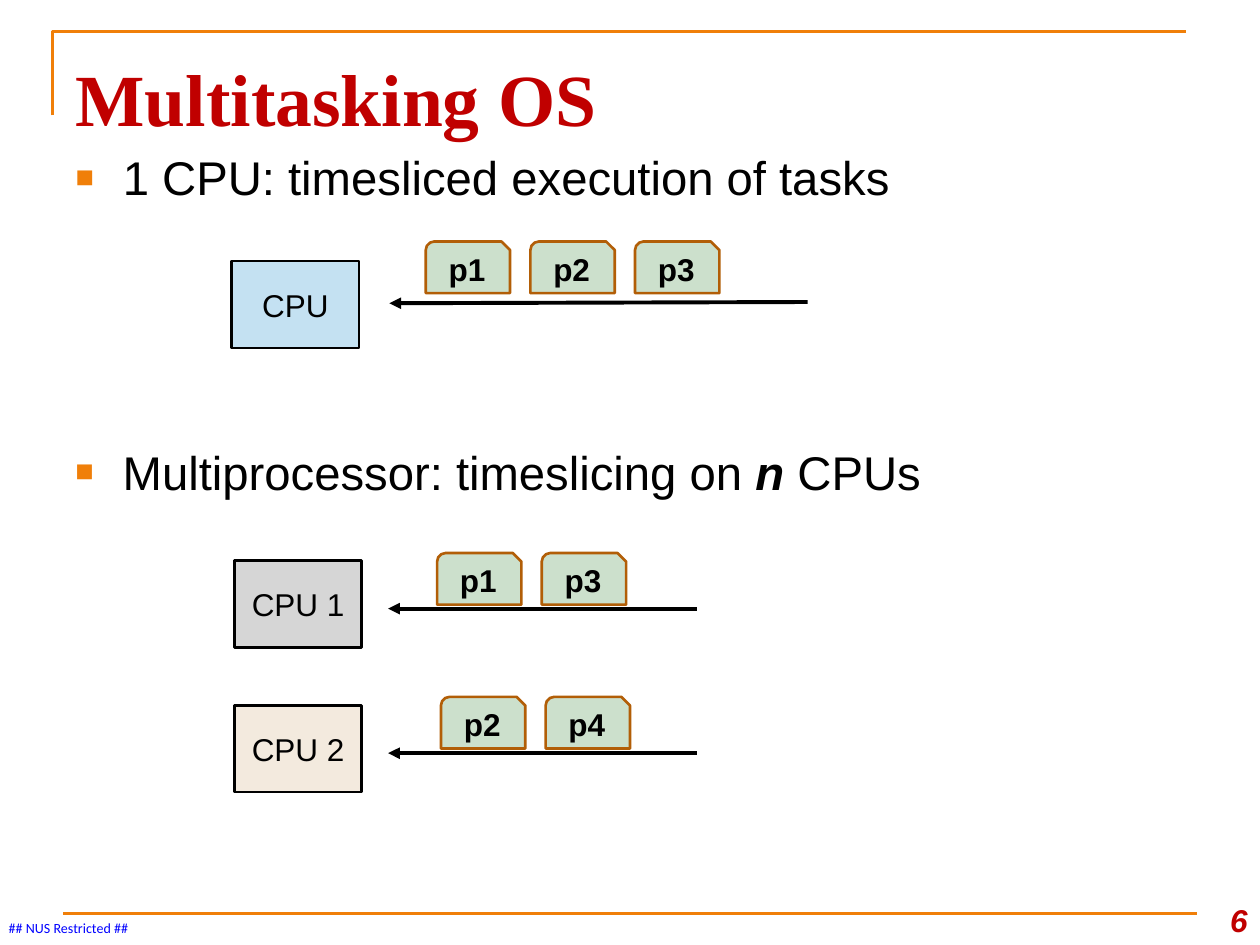
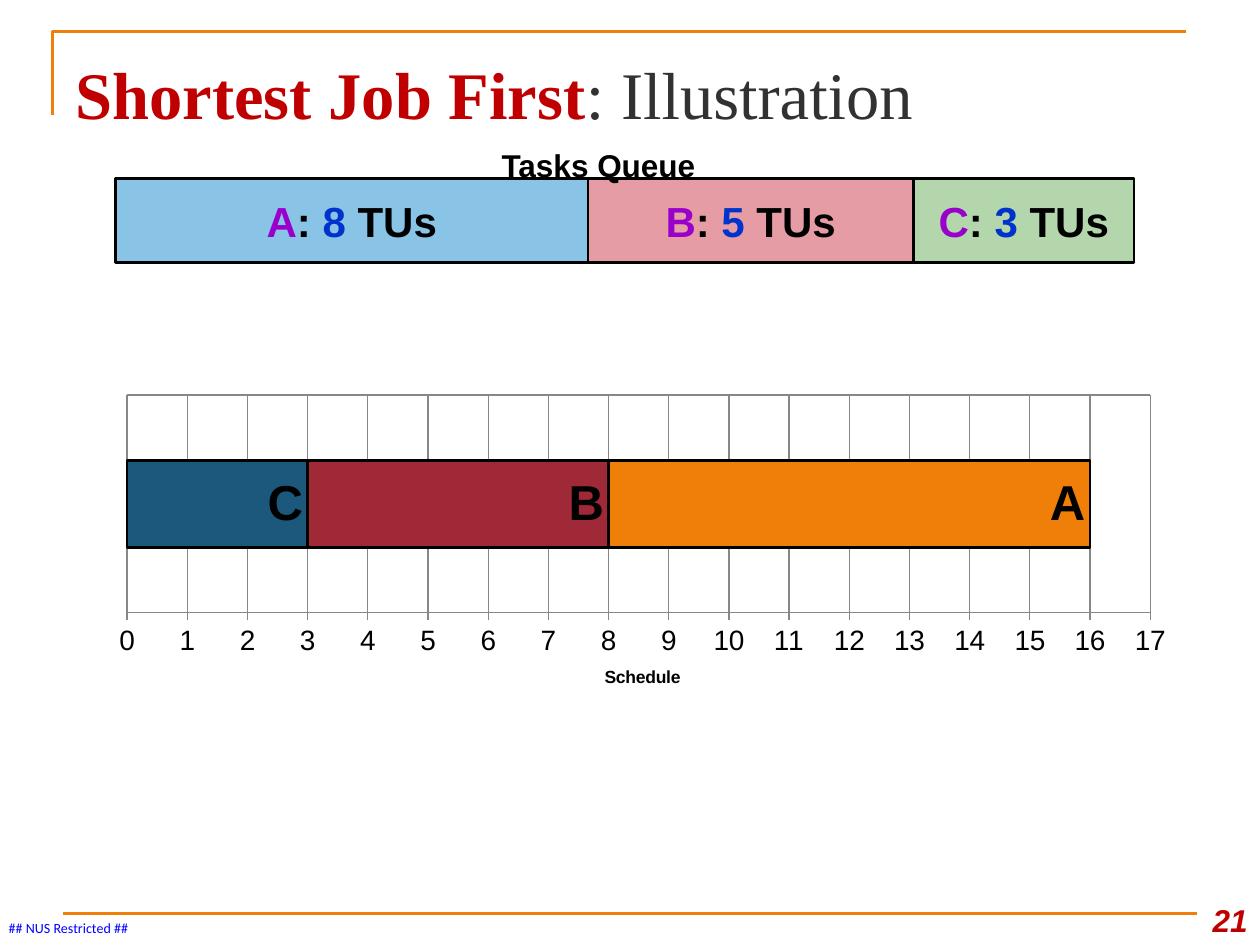
from lxml.etree import SubElement
from pptx import Presentation
from pptx.chart.data import CategoryChartData
from pptx.dml.color import RGBColor
from pptx.enum.chart import XL_CHART_TYPE, XL_LABEL_POSITION, XL_TICK_MARK
from pptx.enum.shapes import MSO_CONNECTOR, MSO_SHAPE
from pptx.enum.text import MSO_ANCHOR, MSO_AUTO_SIZE, PP_ALIGN
from pptx.oxml.ns import qn
from pptx.util import Pt

ORANGE, RED, BLACK = "F07F09", "C00000", "000000"
GRID, BROWN, GREEN = "878787", "B25E07", "006600"
SANS, SERIF = "Arial", "Times New Roman"
LEFT, WIDE = 36, 648
TASK_GAP = 59.8


def hue(code):
    return RGBColor.from_string(code)


def style(font, size=18, face=SANS, color=BLACK, bold=False, italic=False):
    font.size, font.name = Pt(size), face
    font.bold, font.italic = bold, italic
    font.color.rgb = hue(color)


def write(frame, *parts, align=PP_ALIGN.LEFT, anchor=MSO_ANCHOR.TOP,
          wrap=True, inset=(7.2, 3.6, 7.2, 3.6), bullet=False, **base):
    """Each part is a string, or a string with its own font settings."""
    frame.auto_size = MSO_AUTO_SIZE.NONE
    frame.word_wrap, frame.vertical_anchor = wrap, anchor
    (frame.margin_left, frame.margin_top,
     frame.margin_right, frame.margin_bottom) = map(Pt, inset)
    para = frame.paragraphs[0]
    para.alignment, para.space_before = align, Pt(0)
    if bullet:
        mark(para)
    for part in parts:
        words, extra = (part, {}) if isinstance(part, str) else part
        run = para.add_run()
        run.text = words
        style(run.font, **{**base, **extra})


def mark(para):
    """Give the paragraph a small square bullet and a hanging indent."""
    props = para._p.get_or_add_pPr()
    props.set("marL", str(Pt(27)))
    props.set("indent", str(Pt(-27)))
    tint = SubElement(props, qn("a:buClr"))
    SubElement(tint, qn("a:srgbClr"), val=ORANGE)
    SubElement(props, qn("a:buSzPct"), val="65000")
    SubElement(props, qn("a:buFont"), typeface=SANS)
    SubElement(props, qn("a:buChar"), char="■")


def place(shape, x, y, w, h):
    shape.left, shape.top, shape.width, shape.height = map(Pt, (x, y, w, h))


def label(slide, x, y, w, h, *parts, **form):
    box = slide.shapes.add_textbox(Pt(x), Pt(y), Pt(w), Pt(h))
    write(box.text_frame, *parts, **form)


def block(slide, x, y, w, h, fill, *parts, kind=MSO_SHAPE.RECTANGLE,
          edge=BLACK, alpha=None, **form):
    box = slide.shapes.add_shape(kind, Pt(x), Pt(y), Pt(w), Pt(h))
    box.shadow.inherit = False
    box.fill.solid()
    box.fill.fore_color.rgb = hue(fill)
    if alpha:
        tint = box._element.spPr.find(".//" + qn("a:srgbClr"))
        SubElement(tint, qn("a:alpha"), val=str(alpha * 1000))
    box.line.color.rgb, box.line.width = hue(edge), Pt(1.5)
    write(box.text_frame, *parts, align=PP_ALIGN.CENTER,
          anchor=MSO_ANCHOR.MIDDLE, **form)


def rule(slide, start, end, color, width, arrow=False):
    link = slide.shapes.add_connector(
        MSO_CONNECTOR.STRAIGHT, *map(Pt, (*start, *end)))
    link.line.color.rgb, link.line.width = hue(color), Pt(width)
    if arrow:
        SubElement(link.line._ln, qn("a:tailEnd"), type="triangle")
    SubElement(link._element.spPr, qn("a:effectLst"))


def corner(slide):
    pen = slide.shapes.build_freeform(Pt(30), Pt(66))
    pen.add_line_segments([(Pt(30), Pt(18)), (Pt(678), Pt(18))], close=False)
    edge = pen.convert_to_shape()
    edge.shadow.inherit = False
    edge.fill.background()
    edge.line.color.rgb, edge.line.width = hue(ORANGE), Pt(1.5)


def start(deck, layout, number, *title, size):
    """Add a slide with the shared frame, title, footer and number."""
    slide = deck.slides.add_slide(deck.slide_layouts[layout])
    corner(slide)
    rule(slide, (LEFT, 522), (LEFT + WIDE, 522), ORANGE, 1.5)
    label(slide, 5, 525.6, 70, 9.4, "## NUS Restricted ##", size=8,
          face="Calibri", color="0000FF", inset=(0, 0, 0, 0), wrap=False)
    label(slide, 678.2, 504, 41.8, 36, number, color=RED, bold=True,
          italic=True, align=PP_ALIGN.RIGHT, anchor=MSO_ANCHOR.BOTTOM)
    place(slide.shapes.title, LEFT, 21.6, WIDE, 56.2)
    write(slide.shapes.title.text_frame, *title, size=size, face=SERIF,
          color=RED, bold=True, inset=(7.2, 8.8, 7.2, 0))
    return slide


def queue(slide, name, fill, box, tasks, first, tail, head):
    """Draw a CPU, the arrow that feeds it and the tasks on the arrow."""
    block(slide, *box, 72.7, 49.7, fill, name, wrap=False,
          inset=(6.5, 2.9, 6.5, 2.9))
    rule(slide, tail, head, BLACK, 2.25, arrow=True)
    x, y = first
    for i, task in enumerate(tasks):
        block(slide, x + i * TASK_GAP, y, 48.2, 29.5, GREEN, task, alpha=20,
              kind=MSO_SHAPE.SNIP_ROUND_RECTANGLE, edge=BROWN, bold=True)


def multitask(deck):
    slide = start(deck, 1, "6", "Multitasking OS", size=42)
    body = slide.placeholders[1]
    place(body, LEFT, 77.8, WIDE, 46.8)
    write(body.text_frame, "1 CPU: timesliced execution of tasks", size=27,
          bullet=True, inset=(7.2, 7, 7.2, 3.6))
    queue(slide, "CPU", "C4E1F2", (132.4, 149.2), ("p1", "p2", "p3"),
          (243.3, 138), (461.5, 172.6), (222.5, 173.3))
    label(slide, LEFT, 234, 612, 49.7, "Multiprocessor: timeslicing on ",
          ("n", dict(bold=True, italic=True)), " CPUs", size=27,
          bullet=True, inset=(7.2, 19, 7.2, 3.6))
    queue(slide, "CPU 1", "D6D6D6", (134, 320.4), ("p1", "p3"),
          (249.8, 316), (398.2, 347.8), (221.8, 347.8))
    queue(slide, "CPU 2", "F3EADE", (134, 403), ("p2", "p4"),
          (252, 398.2), (398.2, 430.4), (221.8, 430.4))


def gantt(slide, jobs):
    data = CategoryChartData()
    data.categories = ["1"]
    for name, units, _ in jobs:
        data.add_series(name, [units])
    chart = slide.shapes.add_chart(
        XL_CHART_TYPE.BAR_STACKED, Pt(54), Pt(222), Pt(622), Pt(185.8),
        data).chart
    chart.has_legend = chart.has_title = False
    style(chart.font, size=10)
    plot = chart.plots[0]
    plot.gap_width, plot.overlap = 150, 100
    plot.vary_by_categories = False
    for bar, (_, _, color) in zip(plot.series, jobs):
        bar.format.fill.solid()
        bar.format.fill.fore_color.rgb = hue(color)
        bar.format.line.color.rgb = hue(BLACK)
        bar.format.line.width = Pt(1.5)
        tags = bar.data_labels
        tags.show_series_name, tags.show_value = True, False
        tags.position = XL_LABEL_POSITION.INSIDE_END
        style(tags.font, size=28, bold=True)
    time = chart.value_axis
    time.minimum_scale, time.maximum_scale, time.major_unit = 0, 17, 1
    time.major_tick_mark = XL_TICK_MARK.OUTSIDE
    style(time.tick_labels.font, size=16)
    write_axis = time.axis_title.text_frame
    write_axis.text = "Schedule"
    style(write_axis.paragraphs[0].runs[0].font, size=10, bold=True)
    time.format.line.color.rgb = hue(GRID)
    for axis in (time, chart.category_axis):
        axis.has_major_gridlines = True
        axis.major_gridlines.format.line.color.rgb = hue(GRID)
    chart.category_axis.visible = False
    fit(chart, x=0.03, y=0.02, w=0.94, h=0.67)


def fit(chart, **sizes):
    """Fix the inner plot area as shares of the chart."""
    area = chart._chartSpace.chart.plotArea
    for old in area.findall(qn("c:layout")):
        area.remove(old)
    layout = SubElement(area, qn("c:layout"))
    area.insert(0, layout)
    manual = SubElement(layout, qn("c:manualLayout"))
    SubElement(manual, qn("c:layoutTarget"), val="inner")
    for key in "xy":
        SubElement(manual, qn(f"c:{key}Mode"), val="edge")
    for key, share in sizes.items():
        SubElement(manual, qn(f"c:{key}"), val=str(share))


def shortest(deck):
    slide = start(deck, 5, "21", "Shortest Job First",
                  (": Illustration", dict(color="323232", bold=False)),
                  size=38)
    x = 66
    for name, units, width, fill in (("A", "8", 270, "89C3E5"),
                                     ("B", "5", 186, "E69CA4"),
                                     ("C", "3", 126, "B3D6AC")):
        block(slide, x, 102, width, 48, fill, (name, dict(color="9900CC")),
              ": ", (units, dict(color="0033CC")), " TUs",
              size=24, bold=True, wrap=False)
        x += width
    label(slide, 228, 78, 228, 29, "Tasks Queue", bold=True,
          align=PP_ALIGN.CENTER, inset=(7.2, 5.2, 7.2, 3.6))
    gantt(slide, [("C", 3, "1B587C"), ("B", 5, "9F2936"), ("A", 8, ORANGE)])


def main():
    deck = Presentation()
    deck.slide_width, deck.slide_height = Pt(720), Pt(540)
    multitask(deck)
    shortest(deck)
    deck.save("out.pptx")


if __name__ == "__main__":
    main()
